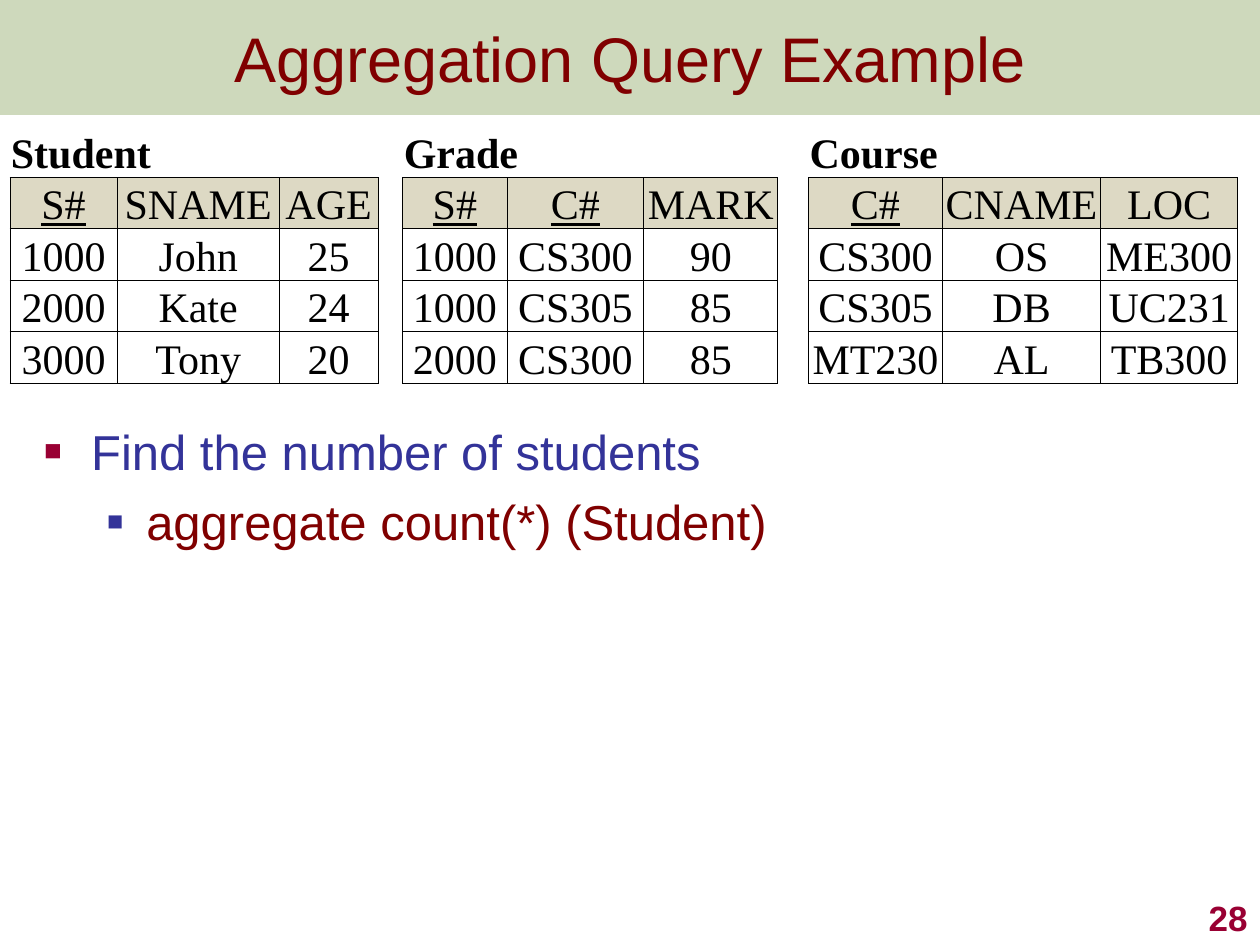
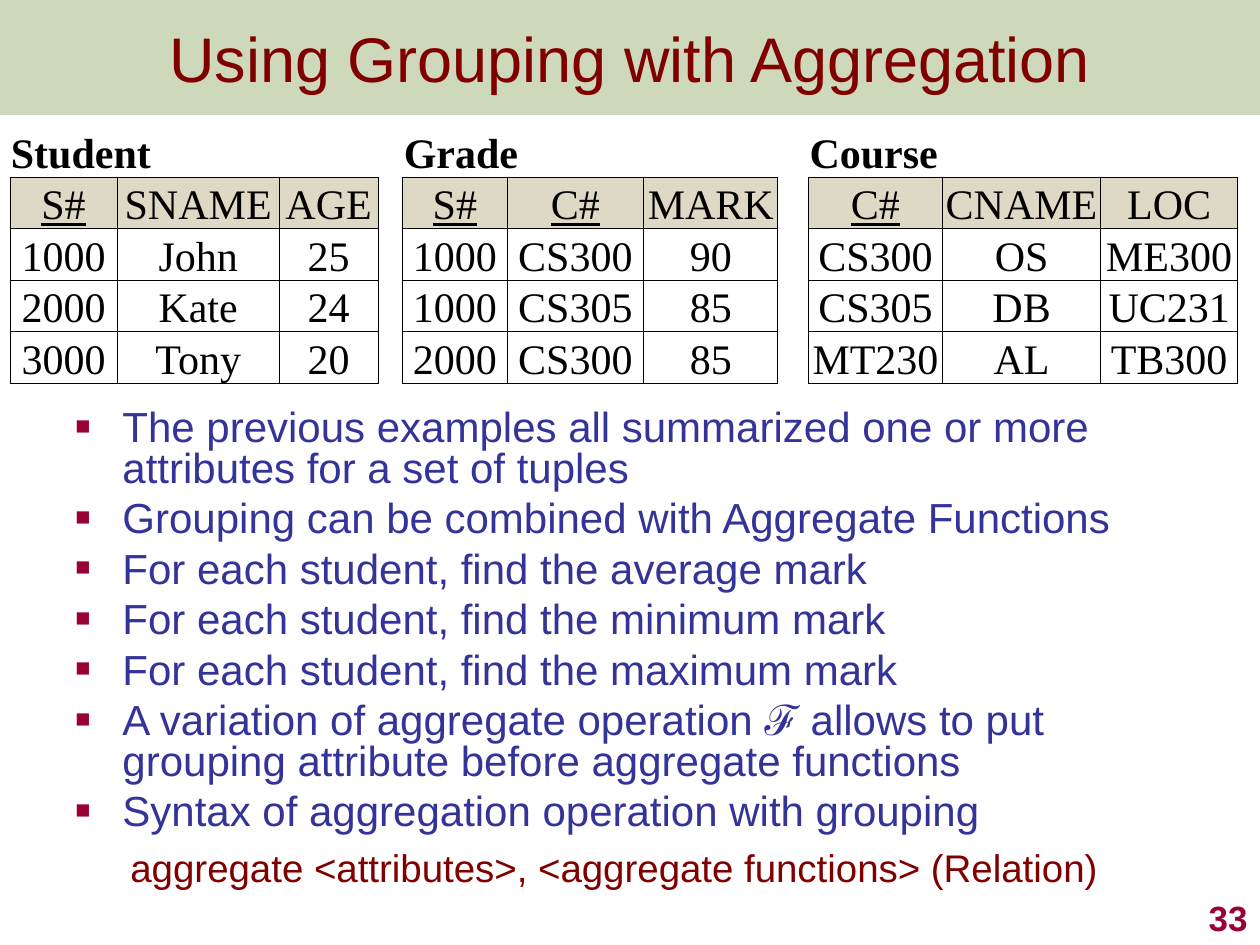
"""Build two slides on aggregation queries over a student database."""
from dataclasses import dataclass

from lxml.etree import SubElement
from pptx import Presentation
from pptx.dml.color import RGBColor
from pptx.enum.shapes import MSO_SHAPE as Shape
from pptx.enum.text import MSO_ANCHOR as Anchor, PP_ALIGN as Align
from pptx.oxml.ns import qn
from pptx.slide import Slide
from pptx.table import _Cell as Cell
from pptx.text.text import TextFrame, _Paragraph as Paragraph
from pptx.util import Cm, Pt


@dataclass(frozen=True)
class Theme:
    sans: str = "Arial"
    serif: str = "Times New Roman"
    band: str = "5F8422"
    band_opacity: int = 30
    maroon: str = "800000"
    crimson: str = "990033"
    indigo: str = "333399"
    header: str = "DDD9C4"
    paper: str = "FFFFFF"
    ink: str = "000000"
    title_size: int = 36
    table_size: int = 24
    number_size: int = 20
    rule_width: float = 0.5


@dataclass(frozen=True)
class Relation:
    name: str
    columns: tuple[str, ...]
    keys: tuple[str, ...]
    widths: tuple[float, ...]
    rows: tuple[tuple[str, ...], ...]


@dataclass(frozen=True)
class Level:
    depth: int
    color: str
    margin: float
    hang: float = 0
    bullet_color: str = ""
    bullet_percent: int = 0


@dataclass(frozen=True)
class Item:
    text: str
    level: Level
    size: int
    line_spacing: float = 1.0


@dataclass(frozen=True)
class Page:
    title: str
    number: int
    body: tuple[float, float, float, float]
    items: tuple[Item, ...]


THEME = Theme()
WIDTH, HEIGHT, BAND_HEIGHT = 25.4, 19.05, 2.32
TABLE_LEFT, TABLE_TOP, ROW_HEIGHT = 0.2, 2.54, 0.97
GAPS = (0.5, 0.62)

POINT = Level(0, THEME.indigo, 0.95, 0.95, THEME.crimson, 60)
SUBPOINT = Level(1, THEME.maroon, 2.06, 0.79, THEME.indigo, 55)
SYNTAX = Level(1, THEME.maroon, 1.11)

RELATIONS = (
    Relation("Student", ("S#", "SNAME", "AGE"), ("S#",), (2.16, 3.27, 1.99),
             (("1000", "John", "25"), ("2000", "Kate", "24"), ("3000", "Tony", "20"))),
    Relation("Grade", ("S#", "C#", "MARK"), ("S#", "C#"), (2.1, 2.76, 2.7),
             (("1000", "CS300", "90"), ("1000", "CS305", "85"), ("2000", "CS300", "85"))),
    Relation("Course", ("C#", "CNAME", "LOC"), ("C#",), (2.7, 3.19, 2.76),
             (("CS300", "OS", "ME300"), ("CS305", "DB", "UC231"), ("MT230", "AL", "TB300"))),
)

GROUPING_POINTS = (
    "The previous examples all summarized one or more attributes for a set of tuples",
    "Grouping can be combined with Aggregate Functions",
    "For each student, find the average mark",
    "For each student, find the minimum mark",
    "For each student, find the maximum mark",
    "A variation of aggregate operation ℱ allows to put grouping attribute before aggregate functions",
    "Syntax of aggregation operation with grouping",
)

PAGES = (
    Page("Aggregation Query Example", 28, (0.64, 8.26, 23.52, 2.74),
         (Item("Find the number of students", POINT, 28),
          Item("aggregate count(*) (Student)", SUBPOINT, 28))),
    Page("Using Grouping with Aggregation", 33, (1.27, 8.05, 23.04, 10.16),
         tuple(Item(text, POINT, 24, 0.8) for text in GROUPING_POINTS)
         + (Item("aggregate <attributes>, <aggregate functions> (Relation)", SYNTAX, 22),)),
)


def style_text(para: Paragraph, font: str, size: int, color: str,
               bold: bool = False, underline: bool = False) -> None:
    """Format every run of a paragraph."""
    for span in para.runs:
        span.font.name = font
        span.font.size = Pt(size)
        span.font.color.rgb = RGBColor.from_string(color)
        span.font.bold = bold
        span.font.underline = underline


def add_text_frame(page: Slide, left: float, top: float, width: float, height: float) -> TextFrame:
    """Add a wrapping text box and return its frame."""
    frame = page.shapes.add_textbox(Cm(left), Cm(top), Cm(width), Cm(height)).text_frame
    frame.word_wrap = True
    return frame


def add_title(page: Slide, title: str) -> None:
    """Draw the translucent band with its centred title."""
    band = page.shapes.add_shape(Shape.RECTANGLE, 0, 0, Cm(WIDTH), Cm(BAND_HEIGHT))
    band.shadow.inherit = False
    band.line.fill.background()
    band.fill.solid()
    band.fill.fore_color.rgb = RGBColor.from_string(THEME.band)
    color = next(band.fill._xPr.iter(qn("a:srgbClr")))
    SubElement(color, qn("a:alpha"), val=str(THEME.band_opacity * 1000))
    frame = band.text_frame
    frame.word_wrap = True
    frame.vertical_anchor = Anchor.MIDDLE
    frame.text = title
    frame.paragraphs[0].alignment = Align.CENTER
    style_text(frame.paragraphs[0], THEME.sans, THEME.title_size, THEME.maroon)


def set_borders(cell: Cell, sides: str) -> None:
    """Rule the named sides of a cell and clear the others."""
    properties = cell._tc.get_or_add_tcPr()
    for side in "LRTB":
        line = SubElement(properties, qn(f"a:ln{side}"), w=str(Pt(THEME.rule_width)))
        if side in sides:
            fill = SubElement(line, qn("a:solidFill"))
            SubElement(fill, qn("a:srgbClr"), val=THEME.ink)
        else:
            SubElement(line, qn("a:noFill"))


def fill_cell(cell: Cell, sides: str, text: str = "", color: str = THEME.paper,
              caption: bool = False, key: bool = False) -> None:
    """Set the borders, fill and text of one cell."""
    set_borders(cell, sides)
    cell.fill.solid()
    cell.fill.fore_color.rgb = RGBColor.from_string(color)
    cell.margin_left = cell.margin_right = cell.margin_top = Cm(0.02)
    cell.margin_bottom = 0
    cell.vertical_anchor = Anchor.BOTTOM
    para = cell.text_frame.paragraphs[0]
    if text:
        para.text = text
        para.alignment = Align.LEFT if caption else Align.CENTER
        style_text(para, THEME.serif, THEME.table_size, THEME.ink, caption, key)
    else:
        para.font.size = Pt(THEME.number_size)


def add_relations(page: Slide) -> None:
    """Draw the three relations side by side in one table."""
    widths = list(RELATIONS[0].widths)
    for gap, relation in zip(GAPS, RELATIONS[1:]):
        widths += [gap, *relation.widths]
    row_count = 2 + len(RELATIONS[0].rows)
    table = page.shapes.add_table(row_count, len(widths), Cm(TABLE_LEFT), Cm(TABLE_TOP),
                                  Cm(sum(widths)), Cm(ROW_HEIGHT * row_count)).table
    table.first_row = table.horz_banding = False
    for column, width in zip(table.columns, widths):
        column.width = Cm(width)
    for row in table.rows:
        row.height = Cm(ROW_HEIGHT)

    start = 0
    for relation in RELATIONS:
        end = start + len(relation.columns)
        for index in range(start, end):
            fill_cell(table.cell(0, index), "B", relation.name if index == start else "", caption=True)
        table.cell(0, start).merge(table.cell(0, end - 1))
        for index, name in enumerate(relation.columns, start):
            fill_cell(table.cell(1, index), "LRTB", name, THEME.header, key=name in relation.keys)
        for row_index, values in enumerate(relation.rows, 2):
            for index, value in enumerate(values, start):
                fill_cell(table.cell(row_index, index), "LRTB", value)
        if end < len(widths):
            for row_index in range(row_count):
                fill_cell(table.cell(row_index, end), "LR" if row_index else "")
        start = end + 1


def set_level(para: Paragraph, level: Level) -> None:
    """Give a paragraph its indents and square bullet."""
    para.level = level.depth
    properties = para._p.get_or_add_pPr()
    properties.set("marL", str(Cm(level.margin)))
    properties.set("indent", str(-Cm(level.hang)))
    if level.bullet_color:
        color = SubElement(properties, qn("a:buClr"))
        SubElement(color, qn("a:srgbClr"), val=level.bullet_color)
        SubElement(properties, qn("a:buSzPct"), val=str(level.bullet_percent * 1000))
        SubElement(properties, qn("a:buFont"), typeface=THEME.sans)
        SubElement(properties, qn("a:buChar"), char="■")
    else:
        SubElement(properties, qn("a:buNone"))


def add_body(page: Slide, area: tuple[float, float, float, float], items: tuple[Item, ...]) -> None:
    """Write the bulleted items below the table."""
    frame = add_text_frame(page, *area)
    frame.margin_right = 0
    frame.margin_top = Cm(0.23)
    frame.text = "\n".join(item.text for item in items)
    for index, (para, item) in enumerate(zip(frame.paragraphs, items)):
        set_level(para, item.level)
        para.line_spacing = item.line_spacing
        para.space_before = Pt(round(item.size * 0.24, 1) if index else 0)
        style_text(para, THEME.sans, item.size, item.level.color)


def add_number(page: Slide, number: int) -> None:
    """Put the page number in the bottom right corner."""
    width, height = 5.28, 1.27
    frame = add_text_frame(page, WIDTH - width, HEIGHT - height, width, height)
    frame.vertical_anchor = Anchor.BOTTOM
    frame.text = str(number)
    frame.paragraphs[0].alignment = Align.RIGHT
    style_text(frame.paragraphs[0], THEME.sans, THEME.number_size, THEME.crimson, bold=True)


def main() -> None:
    """Build and save the deck."""
    deck = Presentation()
    deck.slide_width, deck.slide_height = Cm(WIDTH), Cm(HEIGHT)
    for content in PAGES:
        page = deck.slides.add_slide(deck.slide_layouts[6])
        add_title(page, content.title)
        add_body(page, content.body, content.items)
        add_number(page, content.number)
        add_relations(page)
    deck.save("out.pptx")


if __name__ == "__main__":
    main()
